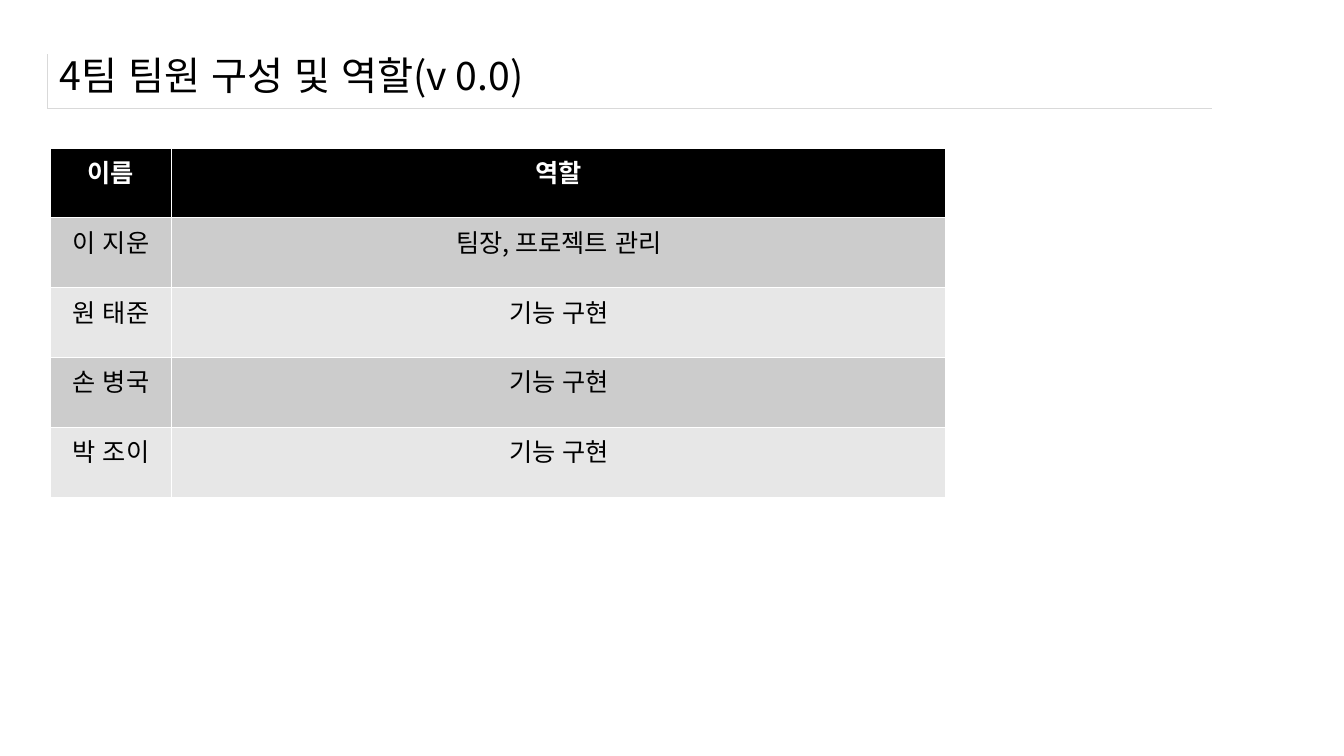
"""Build the slide that lists the team members and their roles."""
from typing import NamedTuple

from lxml.etree import Element, SubElement
from pptx import Presentation
from pptx.dml.color import RGBColor
from pptx.enum.lang import MSO_LANGUAGE_ID
from pptx.enum.text import MSO_ANCHOR, PP_ALIGN
from pptx.oxml.ns import qn
from pptx.slide import Slide
from pptx.table import _Cell
from pptx.text.text import _Paragraph
from pptx.util import Cm, Pt

FONT = "Noto Sans CJK KR"
BLACK = RGBColor(0x00, 0x00, 0x00)
WHITE = RGBColor(0xFF, 0xFF, 0xFF)
DARK_BAND = RGBColor(0xCC, 0xCC, 0xCC)
LIGHT_BAND = RGBColor(0xE7, 0xE7, 0xE7)
RULE_GRAY = RGBColor(0xD9, 0xD9, 0xD9)

COLUMN_WIDTHS = (3.07, 19.51)
ROW_HEIGHT = 1.76
BORDER_TAGS = ("a:lnL", "a:lnR", "a:lnT", "a:lnB")
RULED_TAGS = ("a:lnL", "a:lnB")


class Member(NamedTuple):
    name: str
    role: str


HEADER = Member("이름", "역할")
MEMBERS = (
    Member("이 지운", "팀장, 프로젝트 관리"),
    Member("원 태준", "기능 구현"),
    Member("손 병국", "기능 구현"),
    Member("박 조이", "기능 구현"),
)


def add_run(paragraph: _Paragraph, text: str, size: float, color: RGBColor, bold: bool = False) -> None:
    run = paragraph.add_run()
    run.text = text
    run.font.size = Pt(size)
    run.font.bold = bold
    run.font.language_id = MSO_LANGUAGE_ID.KOREAN
    run.font.color.rgb = color
    run.font.name = FONT
    SubElement(run.font._element, qn("a:ea"), typeface=FONT)


def set_title_borders(cell: _Cell) -> None:
    properties = cell._tc.get_or_add_tcPr()
    for position, tag in enumerate(BORDER_TAGS):
        border = Element(qn(tag), w=str(Pt(0.25)))
        if tag in RULED_TAGS:
            fill = SubElement(border, qn("a:solidFill"))
            SubElement(fill, qn("a:srgbClr"), val=str(RULE_GRAY))
        else:
            SubElement(border, qn("a:noFill"))
        properties.insert(position, border)


def add_title_frame(slide: Slide) -> None:
    table = slide.shapes.add_table(1, 1, Cm(1.19), Cm(1.37), Cm(29.36), Cm(1.35)).table
    table.first_row = False
    table.horz_banding = False
    cell = table.cell(0, 0)
    cell.fill.background()
    set_title_borders(cell)


def add_title(slide: Slide, text: str) -> None:
    title = slide.shapes.add_textbox(Cm(1.26), Cm(1.04), Cm(31.72), Cm(1.7))
    title.text_frame.word_wrap = True
    title.text_frame.vertical_anchor = MSO_ANCHOR.MIDDLE
    add_run(title.text_frame.paragraphs[0], text, 28, BLACK)


def add_member_table(slide: Slide) -> None:
    rows = (HEADER, *MEMBERS)
    table = slide.shapes.add_table(
        len(rows), len(COLUMN_WIDTHS), Cm(1.26), Cm(3.73),
        Cm(sum(COLUMN_WIDTHS)), Cm(ROW_HEIGHT * len(rows)),
    ).table
    for column, width in zip(table.columns, COLUMN_WIDTHS):
        column.width = Cm(width)
    for row_index, member in enumerate(rows):
        is_header = row_index == 0
        band = DARK_BAND if row_index % 2 else LIGHT_BAND
        table.rows[row_index].height = Cm(ROW_HEIGHT)
        for column_index, text in enumerate(member):
            cell = table.cell(row_index, column_index)
            cell.fill.solid()
            cell.fill.fore_color.rgb = BLACK if is_header else band
            paragraph = cell.text_frame.paragraphs[0]
            paragraph.alignment = PP_ALIGN.CENTER
            add_run(paragraph, text, 18, WHITE if is_header else BLACK, is_header)


def main() -> None:
    presentation = Presentation()
    presentation.slide_width = Cm(33.87)
    presentation.slide_height = Cm(19.05)
    slide = presentation.slides.add_slide(presentation.slide_layouts[6])
    add_title_frame(slide)
    add_title(slide, "4팀 팀원 구성 및 역할(v 0.0)")
    add_member_table(slide)
    presentation.save("out.pptx")


if __name__ == "__main__":
    main()
